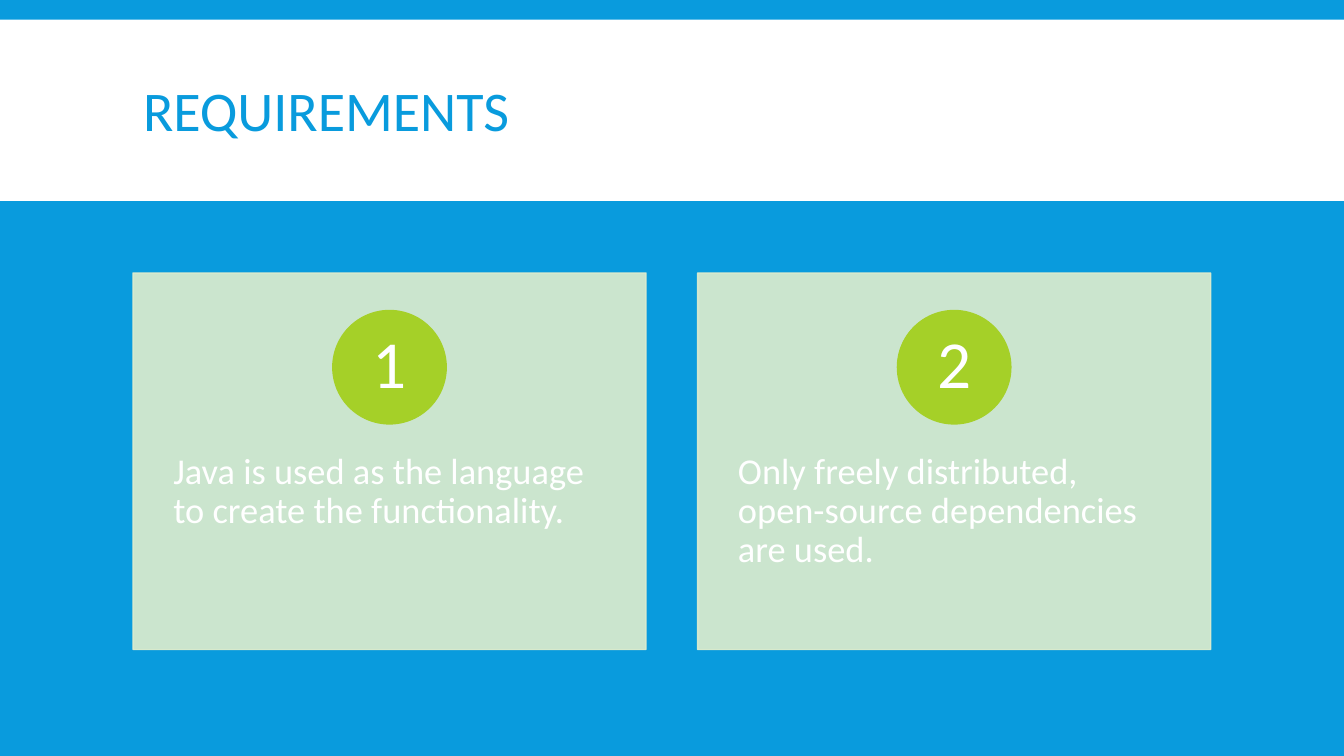
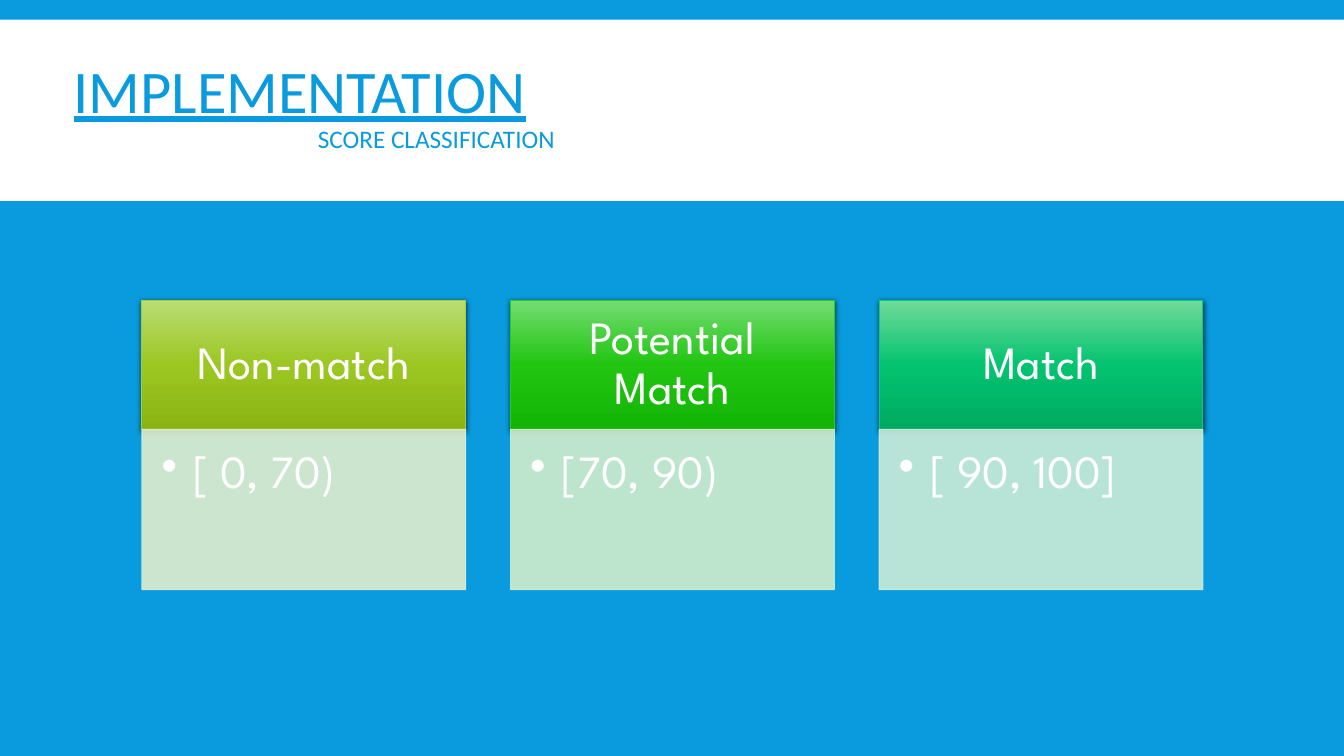
"""Build the requirements and score classification slides."""
from lxml.etree import SubElement
from pptx import Presentation
from pptx.dml.color import RGBColor
from pptx.enum.shapes import MSO_SHAPE
from pptx.enum.text import MSO_ANCHOR, MSO_AUTO_SIZE, PP_ALIGN
from pptx.oxml.ns import qn
from pptx.util import Pt

COLORS = {"blue": "099BDD", "white": "FFFFFF", "lime": "A5D028", "pale_lime": "E1EECD",
          "green": "27CF17", "pale_green": "D1EDCC", "teal": "08CC78", "pale_teal": "CCECD7"}
GRADIENTS = {"lime": ("BADD75", "9CC621", "8BB413"),
             "green": ("75DC73", "21C511", "13B504"),
             "teal": ("72DA9A", "03C370", "00AA61")}
TEXT_FONT = "Calibri"
SCORE_FONT = "League Spartan"


def add_box(slide, preset, bounds, color, line_width=1, opacity=100):
    shape = slide.shapes.add_shape(preset, *(Pt(length) for length in bounds))
    shape.shadow.inherit = False
    shape.fill.solid()
    shape.fill.fore_color.rgb = RGBColor.from_string(COLORS[color])
    shape.line.color.rgb = RGBColor.from_string(COLORS[color])
    shape.line.width = Pt(line_width)
    if opacity < 100:
        for color_element in shape.element.iter(qn("a:srgbClr")):
            SubElement(color_element, qn("a:alpha"), val=str(opacity * 1000))
    return shape


def write_text(shape, text, font, size, insets, anchor=MSO_ANCHOR.MIDDLE, align=PP_ALIGN.CENTER):
    frame = shape.text_frame
    frame.word_wrap = True
    frame.vertical_anchor = anchor
    frame.margin_left, frame.margin_top, frame.margin_right, frame.margin_bottom = map(Pt, insets)
    paragraph = frame.paragraphs[0]
    paragraph.text = text
    paragraph.alignment = align
    paragraph.line_spacing = 0.9
    paragraph.font.name = font
    paragraph.font.size = Pt(size)
    paragraph.font.color.rgb = RGBColor.from_string(COLORS["white"])
    return paragraph


presentation = Presentation()
presentation.slide_width = Pt(960)
presentation.slide_height = Pt(540)
background = presentation.slide_master.background.fill
background.solid()
background.fore_color.rgb = RGBColor.from_string(COLORS["blue"])
layout = presentation.slide_layouts.get_by_name("Title Only")
requirements = presentation.slides.add_slide(layout)
implementation = presentation.slides.add_slide(layout)

title_band = add_box(requirements, MSO_SHAPE.RECTANGLE, (0, 14, 960, 129.6), "white")
title_band.line.fill.background()
layout.shapes.element.insert(2, title_band.element)

titles = [
    (requirements, (95, 22.3, 770, 118.8), 0.85, [("REQUIREMENTS", 40, False, 0)]),
    (implementation, (45.4, 36.7, 690, 80), 0.9,
     [("IMPLEMENTATION", 43.2, True, 0), ("SCORE CLASSIFICATION", 18, False, 174.5)]),
]
for slide, bounds, line_spacing, lines in titles:
    title = slide.shapes.title
    title.left, title.top, title.width, title.height = map(Pt, bounds)
    frame = title.text_frame
    frame.auto_size = MSO_AUTO_SIZE.NONE
    frame.vertical_anchor = MSO_ANCHOR.MIDDLE
    frame.text = "\n".join(line[0] for line in lines)
    for paragraph, (_, size, underline, indent) in zip(frame.paragraphs, lines):
        paragraph.alignment = PP_ALIGN.LEFT
        paragraph.line_spacing = line_spacing
        paragraph.font.name = TEXT_FONT
        paragraph.font.size = Pt(size)
        paragraph.font.underline = underline
        paragraph.font.color.rgb = RGBColor.from_string(COLORS["blue"])
        paragraph._p.get_or_add_pPr().set("marL", str(Pt(indent)))

CARD_WIDTH = 366.5
BADGE_SIZE = 81
requirement_texts = ["Java is used as the language to create the functionality.",
                     "Only freely distributed, open-source dependencies are used."]
for index, text in enumerate(requirement_texts):
    left = 95 + index * 403.3
    card = add_box(requirements, MSO_SHAPE.RECTANGLE, (left, 195, CARD_WIDTH, 269),
                   "pale_lime", opacity=90)
    write_text(card, text, TEXT_FONT, 26, (28.8, 128.5, 28.8, 20),
               MSO_ANCHOR.TOP, PP_ALIGN.LEFT)
    badge_left = left + (CARD_WIDTH - BADGE_SIZE) / 2
    badge = add_box(requirements, MSO_SHAPE.OVAL, (badge_left, 221.8, BADGE_SIZE, BADGE_SIZE), "lime")
    write_text(badge, str(index + 1), TEXT_FONT, 48, (0, 0, 0, 0))

COLUMN_WIDTH = 231.3
HEADER_TOP = 214.5
HEADER_HEIGHT = 92.2
scores = [("Non-match", "[ 0, 70)", "lime"),
          ("Potential Match", "[70, 90)", "green"),
          ("Match", "[ 90, 100]", "teal")]
for index, (label, score_range, color) in enumerate(scores):
    left = 101.4 + index * 263.3
    header = add_box(implementation, MSO_SHAPE.RECTANGLE,
                     (left, HEADER_TOP, COLUMN_WIDTH, HEADER_HEIGHT), color, 0.75)
    header.fill.gradient()
    header.fill.gradient_angle = 270
    stops = header.element.find(f".//{qn('a:gsLst')}")
    stops.clear()
    for position, stop_color in zip((0, 50000, 100000), GRADIENTS[color]):
        stop = SubElement(stops, qn("a:gs"), pos=str(position))
        SubElement(stop, qn("a:srgbClr"), val=stop_color)
    effects = header.element.find(f".//{qn('a:effectLst')}")
    shadow = SubElement(effects, qn("a:outerShdw"), blurRad=str(Pt(4)), dist=str(Pt(1.2)),
                        dir="5400000", rotWithShape="0")
    shadow_color = SubElement(shadow, qn("a:srgbClr"), val="000000")
    SubElement(shadow_color, qn("a:alpha"), val="68000")
    write_text(header, label, SCORE_FONT, 33, (18.7, 10.7, 18.7, 10.7))

    body = add_box(implementation, MSO_SHAPE.RECTANGLE,
                   (left, HEADER_TOP + HEADER_HEIGHT, COLUMN_WIDTH, 114.5),
                   f"pale_{color}", 0.75, 90)
    paragraph = write_text(body, score_range, SCORE_FONT, 33, (14, 14, 18.7, 21),
                           MSO_ANCHOR.TOP, PP_ALIGN.LEFT)
    properties = paragraph._p.get_or_add_pPr()
    properties.set("marL", str(Pt(22.5)))
    properties.set("indent", str(-Pt(22.5)))
    bullet = properties.makeelement(qn("a:buChar"), {"char": "•"})
    properties.find(qn("a:defRPr")).addprevious(bullet)

presentation.save("out.pptx")
